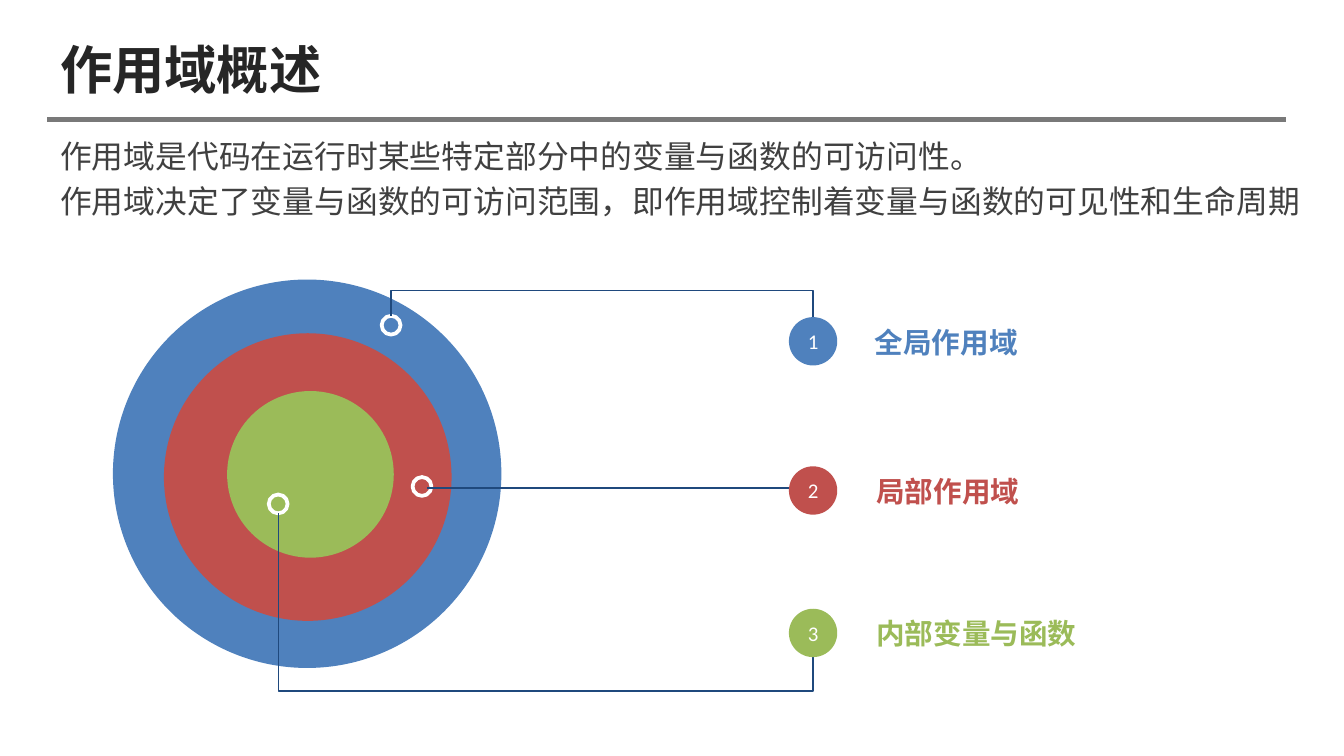
from lxml import etree
from pptx import Presentation
from pptx.dml.color import RGBColor
from pptx.enum.shapes import MSO_CONNECTOR as Connector, MSO_SHAPE as Shape
from pptx.enum.text import MSO_ANCHOR as Anchor, PP_ALIGN as Align
from pptx.oxml.ns import qn
from pptx.util import Emu, Pt

SCALE = 9144  # EMU per px, 100 px to the inch
WHITE = RGBColor(0xFF, 0xFF, 0xFF)
INK = RGBColor(0x26, 0x26, 0x26)
BODY = RGBColor(0x40, 0x40, 0x40)
RULE = RGBColor(0x79, 0x79, 0x79)
NAVY = RGBColor(0x1F, 0x49, 0x7D)
BLUE = RGBColor(0x4F, 0x81, 0xBD)
RED = RGBColor(0xC0, 0x50, 0x4D)
GREEN = RGBColor(0x9B, 0xBB, 0x59)
CJK = "Noto Sans CJK SC"
LATIN = "Calibri"


def px(length):
    return Emu(int(length * SCALE))


def add_run(paragraph, text, size, color, font=CJK, bold=False):
    run = paragraph.add_run()
    run.text = text
    run.font.size = Pt(size)
    run.font.bold = bold
    run.font.color.rgb = color
    run.font.name = font
    east_asian = etree.SubElement(run._r.get_or_add_rPr(), qn("a:ea"))
    east_asian.set("typeface", font)


def add_textbox(slide, box, anchor, wrap=True):
    frame = slide.shapes.add_textbox(*map(px, box)).text_frame
    frame.word_wrap = wrap
    frame.vertical_anchor = anchor
    return frame


def add_circle(slide, left, top, size, fill, outline=None):
    circle = slide.shapes.add_shape(Shape.OVAL, px(left), px(top), px(size), px(size))
    circle.shadow.inherit = False
    circle.fill.solid()
    circle.fill.fore_color.rgb = fill
    if outline is None:
        circle.line.fill.background()
    else:
        circle.line.color.rgb = outline
        circle.line.width = Pt(2)
    return circle


def add_line(slide, start, end, color, width, kind=Connector.STRAIGHT):
    line = slide.shapes.add_connector(kind, *map(px, (*start, *end)))
    line.line.color.rgb = color
    line.line.width = Pt(width)
    etree.SubElement(line._element.spPr, qn("a:effectLst"))
    return line


def add_vertical_elbow(slide, start, end, via_y):
    """Elbow that leaves start vertically, runs along via_y and meets end vertically."""
    (x1, y1), (x2, y2) = start, end
    drop, span = y2 - y1, x2 - x1
    # The unturned frame is drop wide and span high, about the same centre
    left = (x1 + x2 - drop) / 2
    top = (y1 + y2 - span) / 2
    elbow = add_line(slide, (left, top), (left + drop, top + span), NAVY, 0.75,
                     Connector.ELBOW)
    properties = elbow._element.spPr
    frame = properties.find(qn("a:xfrm"))
    frame.set("rot", str(270 * 60000))
    frame.set("flipH", "1")
    guide = etree.SubElement(properties.find(qn("a:prstGeom")).find(qn("a:avLst")), qn("a:gd"))
    guide.set("name", "adj1")
    guide.set("fmla", f"val {round((via_y - y1) / drop * 100000)}")


def add_heading(slide, left, top, width):
    title = add_textbox(slide, (left, top, width, 54), Anchor.MIDDLE)
    add_run(title.paragraphs[0], "作用域概述", 28, INK, bold=True)
    add_line(slide, (left, top + 65), (left + width, top + 65), RULE, 2.25)


def add_definition(slide, box):
    frame = add_textbox(slide, box, Anchor.TOP)
    sentences = (
        "作用域是代码在运行时某些特定部分中的变量与函数的可访问性。",
        "作用域决定了变量与函数的可访问范围，即作用域控制着变量与函数的可见性和生命周期",
    )
    for index, sentence in enumerate(sentences):
        paragraph = frame.add_paragraph() if index else frame.paragraphs[0]
        if index:
            paragraph.space_before = Pt(3.8)
        add_run(paragraph, sentence, 17, BODY)


def add_legend_entry(slide, left, top, number, name, color, name_left):
    badge = add_circle(slide, left, top, 36, color)
    frame = badge.text_frame
    frame.margin_left = frame.margin_right = frame.margin_top = frame.margin_bottom = 0
    frame.vertical_anchor = Anchor.MIDDLE
    frame.paragraphs[0].alignment = Align.CENTER
    add_run(frame.paragraphs[0], str(number), 11.2, WHITE, LATIN)

    label = add_textbox(slide, (name_left, top + 6, 162, 30), Anchor.BOTTOM, wrap=False)
    label.margin_right = 0
    add_run(label.paragraphs[0], name, 15.3, color, bold=True)


def add_scope_diagram(slide, left, top):
    # Nested scopes: offset, diameter, colour, marker position
    scopes = (
        (0, 0, 289, BLUE, (200, 27)),
        (38, 40, 214, RED, (223, 147)),
        (85, 83, 124, GREEN, (116, 160)),
    )
    for dx, dy, diameter, color, _ in scopes:
        add_circle(slide, left + dx, top + dy, diameter, color)
    for *_, color, (dx, dy) in scopes:
        add_circle(slide, left + dx, top + dy, 14, color, WHITE)

    # Leaders from the markers to the numbered badges
    badge_x = left + 521
    add_vertical_elbow(slide, (left + 207, top + 27), (badge_x, top + 28), top + 8)
    add_line(slide, (left + 234, top + 155), (left + 506, top + 155), NAVY, 0.75)
    add_vertical_elbow(slide, (left + 123, top + 174), (badge_x, top + 281), top + 306)

    # Legend
    entries = (
        (28, "全局作用域", BLUE, 557),
        (139, "局部作用域", RED, 558),
        (245, "内部变量与函数", GREEN, 558),
    )
    for number, (dy, name, color, name_dx) in enumerate(entries, 1):
        add_legend_entry(slide, left + 503, top + dy, number, name, color, left + name_dx)


def main():
    deck = Presentation()
    deck.slide_width = px(1000)
    deck.slide_height = deck.slide_width * 9 // 16
    slide = deck.slides.add_slide(deck.slide_layouts[6])
    add_heading(slide, 35, 24, 922)
    add_definition(slide, (35, 97, 953, 89))
    add_scope_diagram(slide, 84, 208)
    deck.save("out.pptx")


if __name__ == "__main__":
    main()
